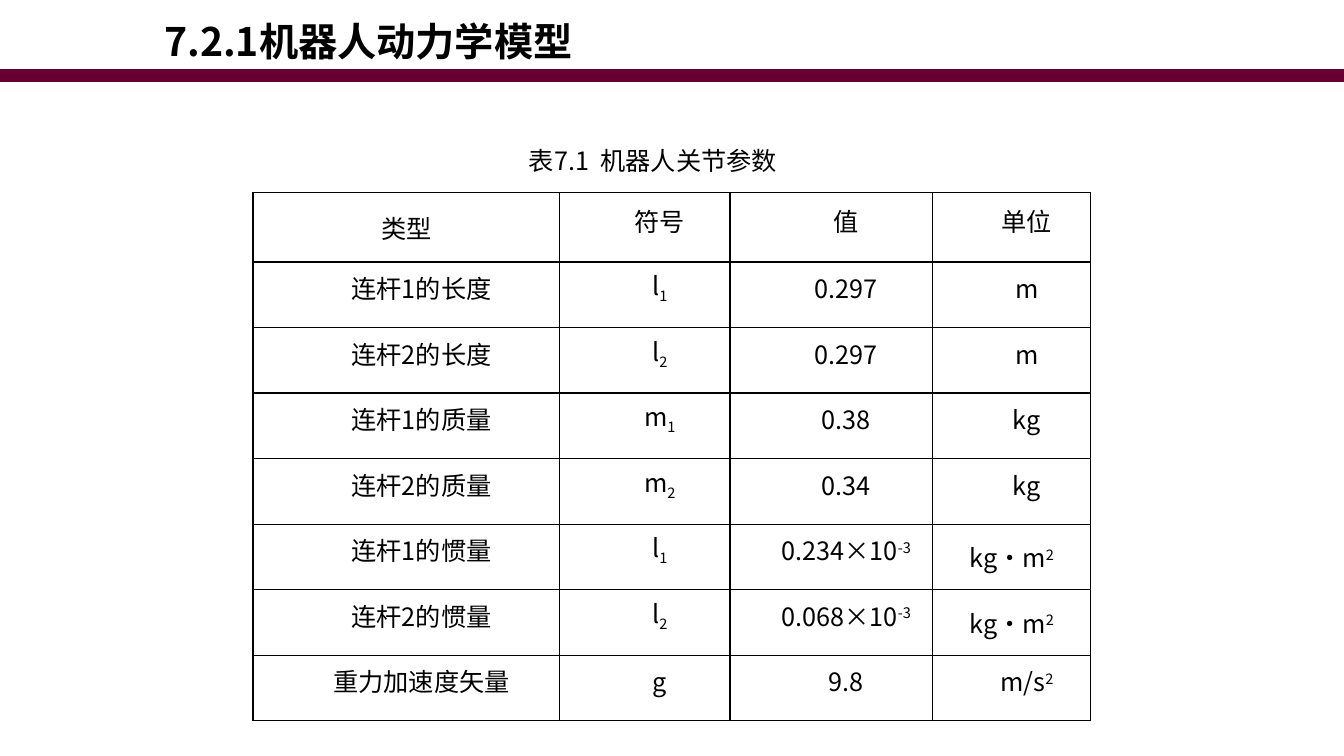
from lxml import etree
from pptx import Presentation
from pptx.dml.color import RGBColor
from pptx.enum.shapes import MSO_CONNECTOR
from pptx.enum.text import MSO_ANCHOR, PP_ALIGN
from pptx.oxml.ns import qn
from pptx.util import Inches, Pt

LEFT, CENTER = PP_ALIGN.LEFT, PP_ALIGN.CENTER
MIDDLE = MSO_ANCHOR.MIDDLE
STRAIGHT = MSO_CONNECTOR.STRAIGHT

# Content: "_" starts a subscript, "^" a superscript
TITLE = "7.2.1机器人动力学模型"
CAPTION = "表7.1  机器人关节参数"
PARAMETERS = [
    ("类型", "符号", "值", "单位"),
    ("连杆1的长度", "l_1", "0.297", "m"),
    ("连杆2的长度", "l_2", "0.297", "m"),
    ("连杆1的质量", "m_1", "0.38", "kg"),
    ("连杆2的质量", "m_2", "0.34", "kg"),
    ("连杆1的惯量", "l_1", "0.234×10^-3", "kg·m^2"),
    ("连杆2的惯量", "l_2", "0.068×10^-3", "kg·m^2"),
    ("重力加速度矢量", "g", "9.8", "m/s^2"),
]
UNINDENTED = {"类型", "kg·m^2"}

# Style
FONT = "Noto Sans CJK SC"
COLORS = {"text": "000000", "rule": "660033", "border": "000000"}
BASELINES = {"_": "-25000", "^": "30000"}
COLUMN_WIDTHS = [3.04, 1.69, 2.01, 1.57]
HEADER_HEIGHT, ROW_HEIGHT = 0.69, 0.65


def add_span(para, text, size, bold, baseline=None):
    span = para.add_run()
    span.text = text
    span.font.size, span.font.bold, span.font.name = Pt(size), bold, FONT
    span.font.color.rgb = RGBColor.from_string(COLORS["text"])
    properties = span.font._element
    etree.SubElement(properties, qn("a:ea")).set("typeface", FONT)
    if baseline:
        properties.set("baseline", baseline)


def write(frame, text, size=18, bold=False, align=CENTER, spacing=None, indent=0):
    para = frame.paragraphs[0]
    para.alignment = align
    para.line_spacing = spacing
    if indent:
        properties = para._p.get_or_add_pPr()
        properties.set("marL", "0")
        properties.set("indent", str(Inches(indent)))
    mark = next((sign for sign in BASELINES if sign in text), None)
    base, script = text.split(mark) if mark else (text, "")
    add_span(para, base, size, bold)
    if script:
        add_span(para, script, size, bold, BASELINES[mark])


def add_borders(cell):
    properties = cell._tc.get_or_add_tcPr()
    for side in ("lnL", "lnR", "lnT", "lnB"):
        line = etree.SubElement(properties, qn("a:" + side), w=str(Pt(1)))
        fill = etree.SubElement(line, qn("a:solidFill"))
        etree.SubElement(fill, qn("a:srgbClr"), val=COLORS["border"])


deck = Presentation()
deck.slide_width, deck.slide_height = Inches(13.33), Inches(7.5)
page = deck.slides.add_slide(deck.slide_layouts[5])

# Rule under the title
rule = page.shapes.add_connector(STRAIGHT, 0, Inches(0.75), deck.slide_width, Inches(0.75))
rule.line.color.rgb = RGBColor.from_string(COLORS["rule"])
rule.line.width = Pt(9)
etree.SubElement(rule._element.spPr, qn("a:effectLst"))

# Title
title = page.shapes.title
title.left, title.top = Inches(1.53), Inches(0.12)
title.width, title.height = Inches(4.44), Inches(0.57)
title.text_frame.vertical_anchor = MIDDLE
write(title.text_frame, TITLE, size=28, bold=True, align=LEFT)

# Parameter table
table = page.shapes.add_table(
    len(PARAMETERS), len(COLUMN_WIDTHS), Inches(2.51), Inches(1.91),
    Inches(sum(COLUMN_WIDTHS)),
    Inches(HEADER_HEIGHT + ROW_HEIGHT * (len(PARAMETERS) - 1))).table
table.first_row = table.horz_banding = False
for column, width in zip(table.columns, COLUMN_WIDTHS):
    column.width = Inches(width)
for row_index, values in enumerate(PARAMETERS):
    table.rows[row_index].height = Inches(ROW_HEIGHT if row_index else HEADER_HEIGHT)
    for column_index, value in enumerate(values):
        cell = table.cell(row_index, column_index)
        cell.vertical_anchor = MIDDLE
        cell.margin_left = cell.margin_right = Inches(0.07)
        cell.margin_top = cell.margin_bottom = 0
        add_borders(cell)
        cell.fill.background()
        if value in UNINDENTED:
            write(cell.text_frame, value)
        else:
            write(cell.text_frame, value, spacing=Pt(15.9), indent=0.3)

# Table caption
caption = page.shapes.add_textbox(Inches(3.5), Inches(1.27), Inches(5.95), Inches(0.5))
caption.text_frame.word_wrap = True
caption.text_frame.vertical_anchor = MIDDLE
write(caption.text_frame, CAPTION, spacing=1.5)

deck.save("out.pptx")
